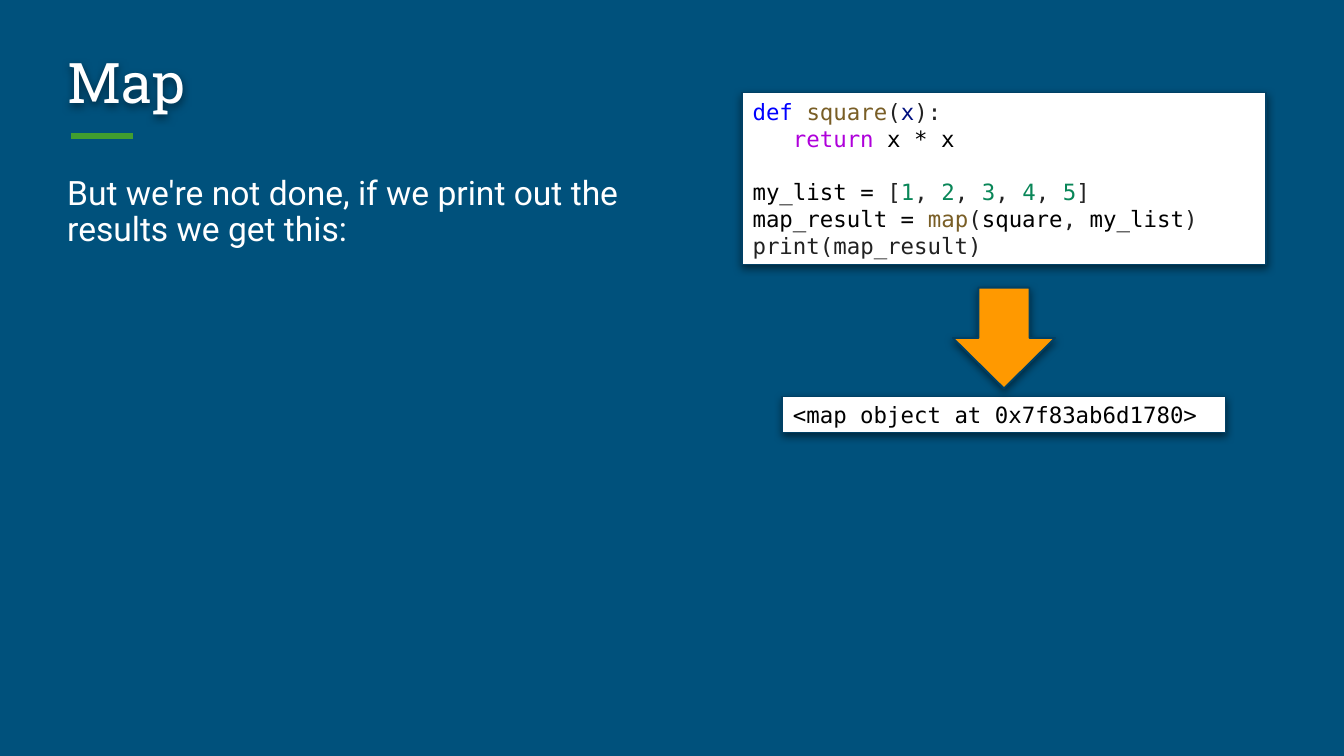
from dataclasses import dataclass

from lxml.etree import SubElement
from pptx import Presentation
from pptx.dml.color import RGBColor
from pptx.enum.shapes import MSO_CONNECTOR as Connector, MSO_SHAPE as Shape
from pptx.enum.text import MSO_ANCHOR as Anchor, MSO_AUTO_SIZE as AutoSize, PP_ALIGN as Align
from pptx.oxml.ns import qn
from pptx.util import Inches, Pt


@dataclass(frozen=True)
class Theme:
    background: str = "00517C"
    rule: str = "419E2F"
    light: str = "FFFFFF"
    outline: str = "004065"
    arrow: str = "FF9900"
    plain: str = "000000"
    symbol: str = "222222"
    keyword: str = "0000FF"
    function: str = "795E26"
    parameter: str = "001080"
    control: str = "AF00DB"
    number: str = "098658"
    title_font: str = "Roboto Slab"
    body_font: str = "Roboto"
    code_font: str = "DejaVu Sans Mono"
    title_size: int = 30
    body_size: int = 18
    code_size: int = 12


THEME = Theme()
SLIDE_WIDTH = Inches(10)
SLIDE_HEIGHT = SLIDE_WIDTH * 9 // 16
CODE_INDENT = Inches(0.3)
FRAME_FORMAT = {
    "margin_left": Inches(0.08), "margin_right": Inches(0.08),
    "margin_top": Inches(0.04), "margin_bottom": Inches(0.04),
    "word_wrap": True, "auto_size": AutoSize.NONE,
}

LIST_TOKENS = [("my_list = ", "plain"), ("[", "symbol"), ("1", "number")]
for digit in "2345":
    LIST_TOKENS += [(", ", "symbol"), (digit, "number")]
LIST_TOKENS.append(("]", "symbol"))

# Each line: tokens, left indent, space before
CODE_LINES = [
    ([("def ", "keyword"), ("square", "function"), ("(", "symbol"),
      ("x", "parameter"), ("):", "symbol")], 0, 0),
    ([("return", "control"), (" x * x", "plain")], CODE_INDENT, 0),
    (LIST_TOKENS, 0, Pt(14)),
    ([("map_result = ", "plain"), ("map", "function"), ("(", "symbol"), ("square", "plain"),
      (",", "symbol"), (" my_list", "plain"), (")", "symbol")], 0, 0),
    ([("print(map_result)", "symbol")], 0, 0),
]
RESULT_LINES = [([("<map object at 0x7f83ab6d1780>", "plain")], 0, 0)]


def rgb(role):
    return RGBColor.from_string(getattr(THEME, role))


def set_format(target, values):
    for name, value in values.items():
        setattr(target, name, value)


def place(item, left, top, width, height):
    set_format(item, {"left": Inches(left), "top": Inches(top),
                      "width": Inches(width), "height": Inches(height)})


def add_span(para, text, font, size, role):
    span = para.add_run()
    span.text = text
    set_format(span.font, {"name": font, "size": Pt(size)})
    span.font.color.rgb = rgb(role)


def set_indent(para, left):
    """Set the left margin, with no hanging indent and no bullet."""
    properties = para._p.get_or_add_pPr()
    properties.set("marL", str(int(left)))
    properties.set("indent", "0")
    SubElement(properties, qn("a:buNone"))


def add_shadow(item):
    """Add a soft drop shadow; on an unfilled item it falls from the text."""
    effects = SubElement(item._element.spPr, qn("a:effectLst"))
    shadow = SubElement(effects, qn("a:outerShdw"), blurRad=str(Pt(4.5)), dist=str(Pt(1.5)),
                        dir="5400000", algn="t", rotWithShape="0")
    color = SubElement(shadow, qn("a:srgbClr"), val="000000")
    SubElement(color, qn("a:alpha"), val="50000")


def fill_placeholder(holder, area, text, font, size, anchor):
    place(holder, *area)
    frame = holder.text_frame
    set_format(frame, FRAME_FORMAT | {"vertical_anchor": anchor})
    para = frame.paragraphs[0]
    set_format(para, {"alignment": Align.LEFT, "line_spacing": 0.9, "space_before": Pt(0)})
    set_indent(para, 0)
    add_span(para, text, font, size, "light")


def add_panel(page, kind, area, fill, line_width):
    """Add a filled shape with the thin outline and the drop shadow."""
    panel = page.shapes.add_shape(kind, *map(Inches, area))
    panel.fill.solid()
    panel.fill.fore_color.rgb = rgb(fill)
    panel.line.color.rgb = rgb("outline")
    panel.line.width = Pt(line_width)
    add_shadow(panel)
    return panel


def add_code_box(page, area, lines):
    box = add_panel(page, Shape.RECTANGLE, area, "light", 0.75)
    frame = box.text_frame
    set_format(frame, FRAME_FORMAT | {"vertical_anchor": Anchor.MIDDLE})
    for index, (tokens, indent, gap) in enumerate(lines):
        para = frame.add_paragraph() if index else frame.paragraphs[0]
        set_format(para, {"alignment": Align.LEFT, "space_before": gap})
        set_indent(para, indent)
        for text, role in tokens:
            add_span(para, text, THEME.code_font, THEME.code_size, role)


def add_rule(page, left, right, y):
    rule = page.shapes.add_connector(Connector.STRAIGHT, Inches(left), Inches(y),
                                     Inches(right), Inches(y))
    rule.line.color.rgb = rgb("rule")
    rule.line.width = Pt(3)
    SubElement(rule._element.spPr, qn("a:effectLst"))


def main():
    deck = Presentation()
    set_format(deck, {"slide_width": SLIDE_WIDTH, "slide_height": SLIDE_HEIGHT})
    page = deck.slides.add_slide(deck.slide_layouts[1])
    page.background.fill.solid()
    page.background.fill.fore_color.rgb = rgb("background")

    add_rule(page, 0.53, 0.99, 1.01)
    title = page.shapes.title
    fill_placeholder(title, (0.42, 0.26, 9.15, 0.75), "Map",
                     THEME.title_font, THEME.title_size, Anchor.MIDDLE)
    title.fill.background()
    add_shadow(title)
    fill_placeholder(page.placeholders[1], (0.42, 1.27, 4.56, 3.77),
                     "But we're not done, if we print out the results we get this:",
                     THEME.body_font, THEME.body_size, Anchor.TOP)
    add_code_box(page, (5.52, 0.69, 3.9, 1.28), CODE_LINES)
    add_code_box(page, (5.82, 2.95, 3.3, 0.27), RESULT_LINES)
    add_panel(page, Shape.DOWN_ARROW, (7.09, 2.14, 0.76, 0.75), "arrow", 1)
    deck.save("out.pptx")


if __name__ == "__main__":
    main()
